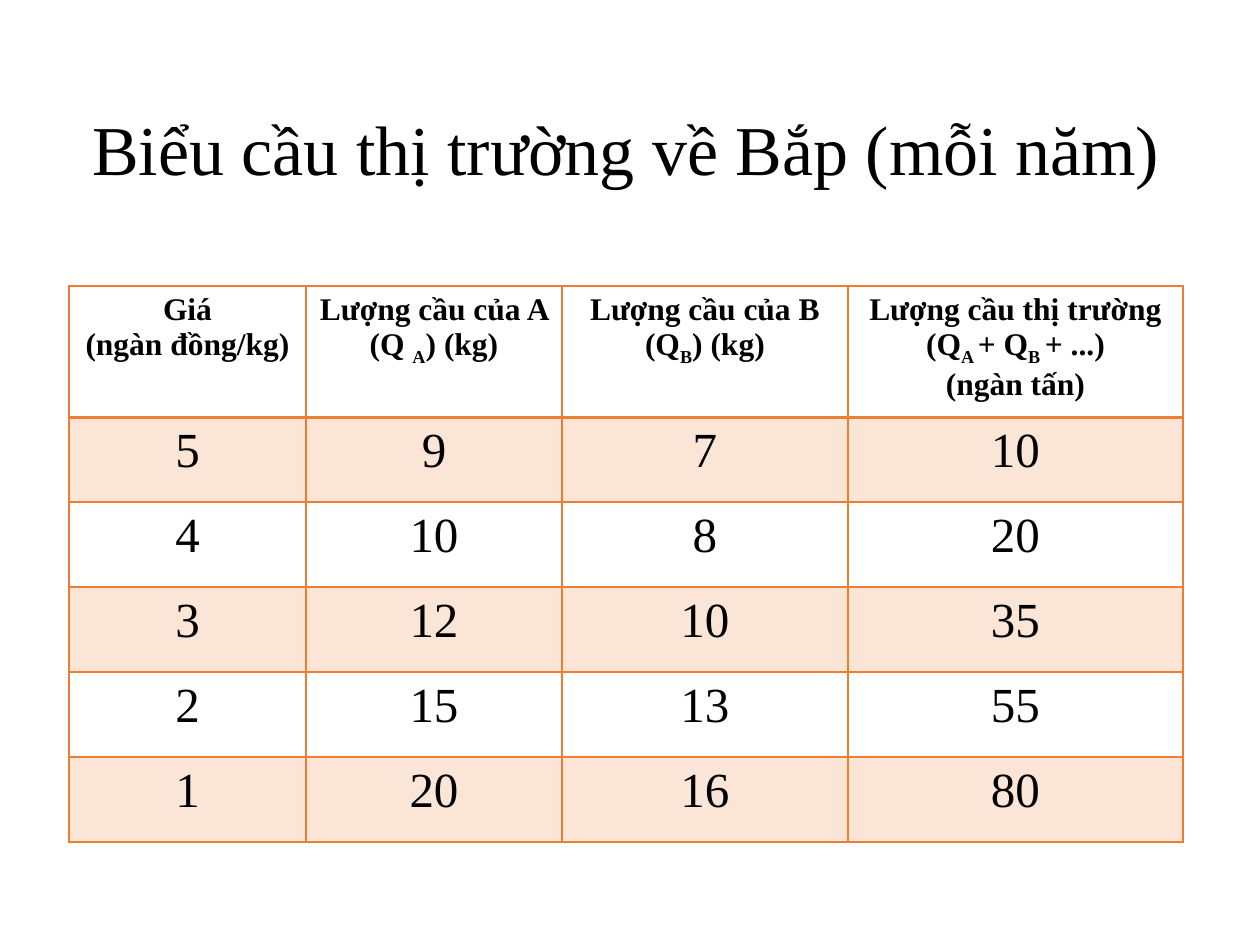
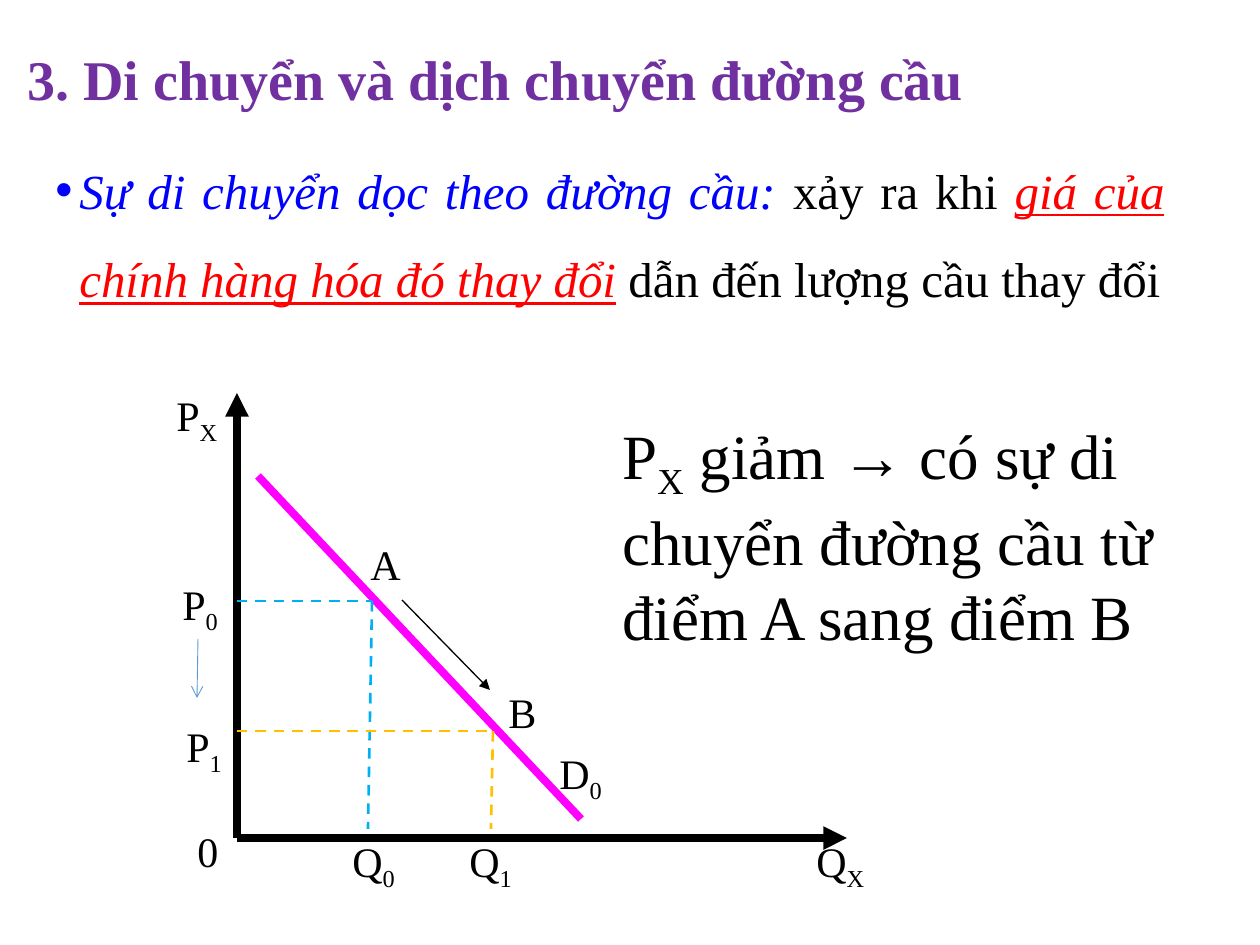
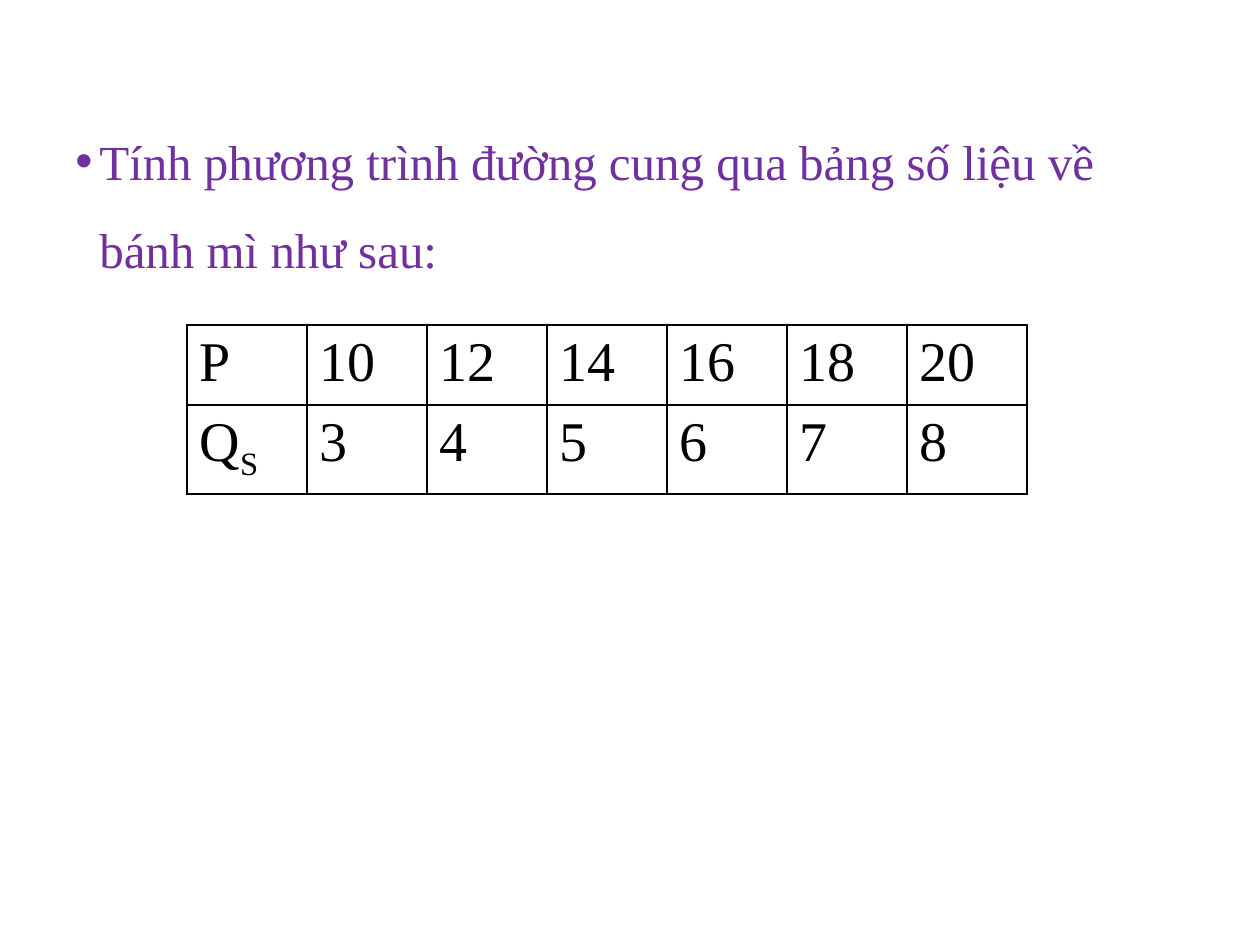
from lxml.etree import SubElement
from pptx import Presentation
from pptx.dml.color import RGBColor
from pptx.enum.dml import MSO_LINE
from pptx.enum.shapes import MSO_CONNECTOR
from pptx.enum.text import MSO_ANCHOR, PP_ALIGN
from pptx.oxml.ns import qn
from pptx.util import Emu, Pt

FONT = "Times New Roman"
BLACK = RGBColor(0x00, 0x00, 0x00)
PURPLE = RGBColor(0x70, 0x30, 0xA0)
BLUE = RGBColor(0x00, 0x00, 0xFF)
RED = RGBColor(0xFF, 0x00, 0x00)
MAGENTA = RGBColor(0xFF, 0x00, 0xFF)
CYAN = RGBColor(0x00, 0xB0, 0xF0)
GOLD = RGBColor(0xFF, 0xC0, 0x00)
STEEL = RGBColor(0x5B, 0x9B, 0xD5)
ORANGE = RGBColor(0xED, 0x7D, 0x31)
PEACH = RGBColor(0xFB, 0xE5, 0xD6)


def px(n):
    return Emu(round(n * 914400 / 126))


def add_runs(p, text, size=24, color=BLACK, bold=False, italic=False, underline=False):
    """Text between bars is set as subscript."""
    for i, part in enumerate(text.split("|")):
        if not part:
            continue
        r = p.add_run()
        r.text = part
        f = r.font
        f.name, f.size, f.bold = FONT, Pt(size), bold
        f.italic, f.underline = italic, underline
        f.color.rgb = color
        if i % 2:
            r._r.get_or_add_rPr().set("baseline", "-25000")


def add_box(s, box, anchor=MSO_ANCHOR.TOP):
    tf = s.shapes.add_textbox(*map(px, box)).text_frame
    tf.word_wrap = True
    tf.vertical_anchor = anchor
    return tf.paragraphs[0]


def add_title(s, box, text, align=PP_ALIGN.LEFT, **fmt):
    p = add_box(s, box, MSO_ANCHOR.MIDDLE)
    p.alignment, p.line_spacing = align, 0.9
    add_runs(p, text, **fmt)


def add_bullet(s, box, pieces, align=PP_ALIGN.LEFT):
    p = add_box(s, box)
    pPr = p._p.get_or_add_pPr()
    pPr.set("marL", str(px(24)))
    pPr.set("indent", str(px(-24)))
    SubElement(pPr, qn("a:buFont"), typeface="Arial")
    SubElement(pPr, qn("a:buChar"), char="•")
    p.alignment, p.line_spacing = align, 1.5
    for text, fmt in pieces:
        add_runs(p, text, size=28, **fmt)


def add_line(s, start, end, color, width, dash=False, tail=None):
    c = s.shapes.add_connector(MSO_CONNECTOR.STRAIGHT, *map(px, start + end))
    c.line.color.rgb = color
    c.line.width = Pt(width)
    if dash:
        c.line.dash_style = MSO_LINE.DASH
    if tail:
        SubElement(c.line._get_or_add_ln(), qn("a:tailEnd"), type=tail)
    SubElement(c._element.spPr, qn("a:effectLst"))


def set_borders(cell, color, **widths):
    tcPr = cell._tc.get_or_add_tcPr()
    for side in "LRTB":
        ln = SubElement(tcPr, qn(f"a:ln{side}"), w=str(Pt(widths.get(side, 1))))
        fill = SubElement(ln, qn("a:solidFill"))
        SubElement(fill, qn("a:srgbClr"), val=str(color))


def add_grid(s, left, top, cols, heights, rows, border, size, header=False,
             band=None, align=PP_ALIGN.LEFT):
    box = (left, top, sum(cols), sum(heights))
    table = s.shapes.add_table(len(rows), len(cols), *map(px, box)).table
    table.first_row = table.horz_banding = False
    for col, width in zip(table.columns, cols):
        col.width = px(width)
    for i, (row, height) in enumerate(zip(rows, heights)):
        table.rows[i].height = px(height)
        is_head = header and i == 0
        rule = {"B": 2} if is_head else {"T": 2} if header and i == 1 else {}
        for j, text in enumerate(row):
            cell = table.cell(i, j)
            set_borders(cell, border, **rule)
            if band and i % 2:
                cell.fill.solid()
                cell.fill.fore_color.rgb = band
            else:
                cell.fill.background()
            tf = cell.text_frame
            for k, line in enumerate(text.split("\n")):
                p = tf.add_paragraph() if k else tf.paragraphs[0]
                p.alignment = align
                add_runs(p, line, size=18 if is_head else size, bold=is_head)


def add_demand_graph(s, left, base):
    def line(x1, y1, x2, y2, *style, **kw):
        add_line(s, (left + x1, base + y1), (left + x2, base + y2), *style, **kw)

    line(0, 0, 0, -445, BLACK, 4.5, tail="triangle")
    line(0, 0, 610, 0, BLACK, 4.5, tail="triangle")
    line(21, -362, 344, -19, MAGENTA, 4.5)
    for x, y, foot, color in ((135, -237, 131, CYAN), (256, -107, 254, GOLD)):
        line(0, y, x, y, color, 1.5, dash=True)
        line(x, y, foot, -9, color, 1.5, dash=True)
    line(165, -238, 253, -148, BLACK, 0.75, tail="triangle")
    line(-39, -199, -40, -140, STEEL, 0.5, tail="arrow")

    labels = (
        ("A", 121, -306), ("B", 259, -158), ("D|0|", 310, -97),
        ("P|X|", -73, -455), ("P|0|", -67, -266), ("P|1|", -63, -124),
        ("0", -52, -19), ("Q|0|", 103, -9), ("Q|1|", 220, -9), ("Q|X|", 567, -9),
    )
    for text, x, y in labels:
        width = 100 if text.startswith("Q") else 73
        add_runs(add_box(s, (left + x, base + y, width, 63)), text)


def market_demand_slide(s):
    add_title(s, (59, 108, 1134, 89), "Biểu cầu thị trường về Bắp (mỗi năm)",
              align=PP_ALIGN.CENTER, size=40)
    rows = [
        ("Giá\n(ngàn đồng/kg)", "Lượng cầu của A (Q |A|) (kg)",
         "Lượng cầu của B (Q|B|) (kg)",
         "Lượng cầu thị trường (Q|A |+ Q|B |+ ...)\n(ngàn tấn)"),
        ("5", "9", "7", "10"),
        ("4", "10", "8", "20"),
        ("3", "12", "10", "35"),
        ("2", "15", "13", "55"),
        ("1", "20", "16", "80"),
    ]
    add_grid(s, 69, 286, (237, 256, 286, 335), [125] + [85] * 5, rows, ORANGE, 28,
             header=True, band=PEACH, align=PP_ALIGN.CENTER)


def demand_movement_slide(s):
    add_title(s, (15, 26, 1211, 112), "3. Di chuyển và dịch chuyển đường cầu",
              size=32, color=PURPLE, bold=True)
    add_bullet(s, (43, 125, 1134, 100), (
        ("Sự di chuyển dọc theo đường cầu:", {"color": BLUE, "italic": True}),
        (" xảy ra khi ", {}),
        ("giá của chính hàng hóa đó thay đổi",
         {"color": RED, "italic": True, "underline": True}),
        (" dẫn đến lượng cầu thay đổi", {}),
    ), align=PP_ALIGN.JUSTIFY)
    add_demand_graph(s, 237, 838)
    add_runs(add_box(s, (610, 410, 625, 242)),
             "P|X| giảm → có sự di chuyển đường cầu từ điểm A sang điểm B", size=36)


def supply_exercise_slide(s):
    add_bullet(s, (63, 96, 1134, 57), (
        ("Tính phương trình đường cung qua bảng số liệu về bánh mì như sau:",
         {"color": PURPLE}),
    ))
    rows = [
        ("P", "10", "12", "14", "16", "18", "20"),
        ("Q|S|", "3", "4", "5", "6", "7", "8"),
    ]
    add_grid(s, 187, 325, [120] * 7, [79] * 2, rows, BLACK, 32)


def main():
    prs = Presentation()
    prs.slide_width, prs.slide_height = px(1260), px(945)
    for build in (market_demand_slide, demand_movement_slide, supply_exercise_slide):
        build(prs.slides.add_slide(prs.slide_layouts[6]))
    prs.save("out.pptx")


if __name__ == "__main__":
    main()
